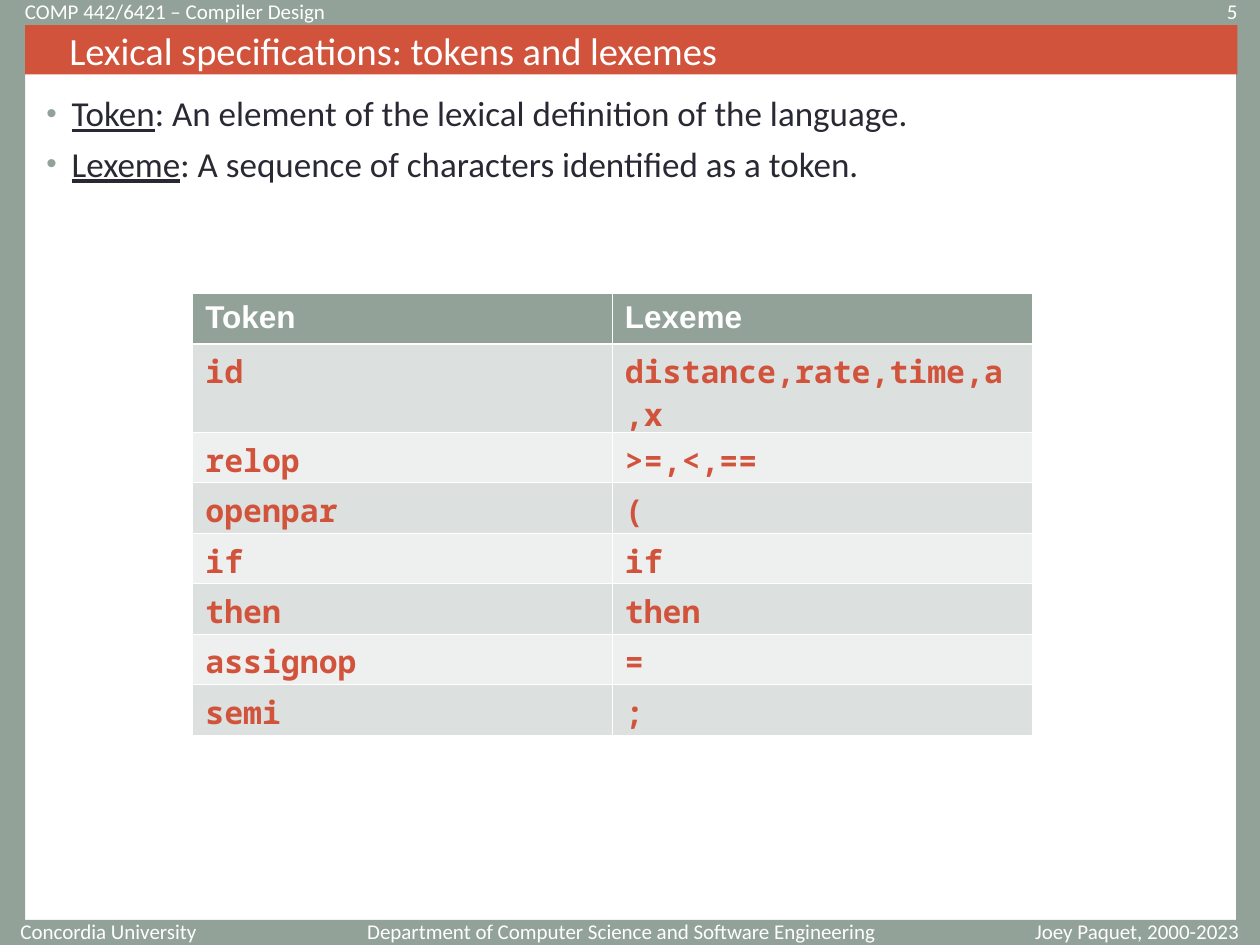
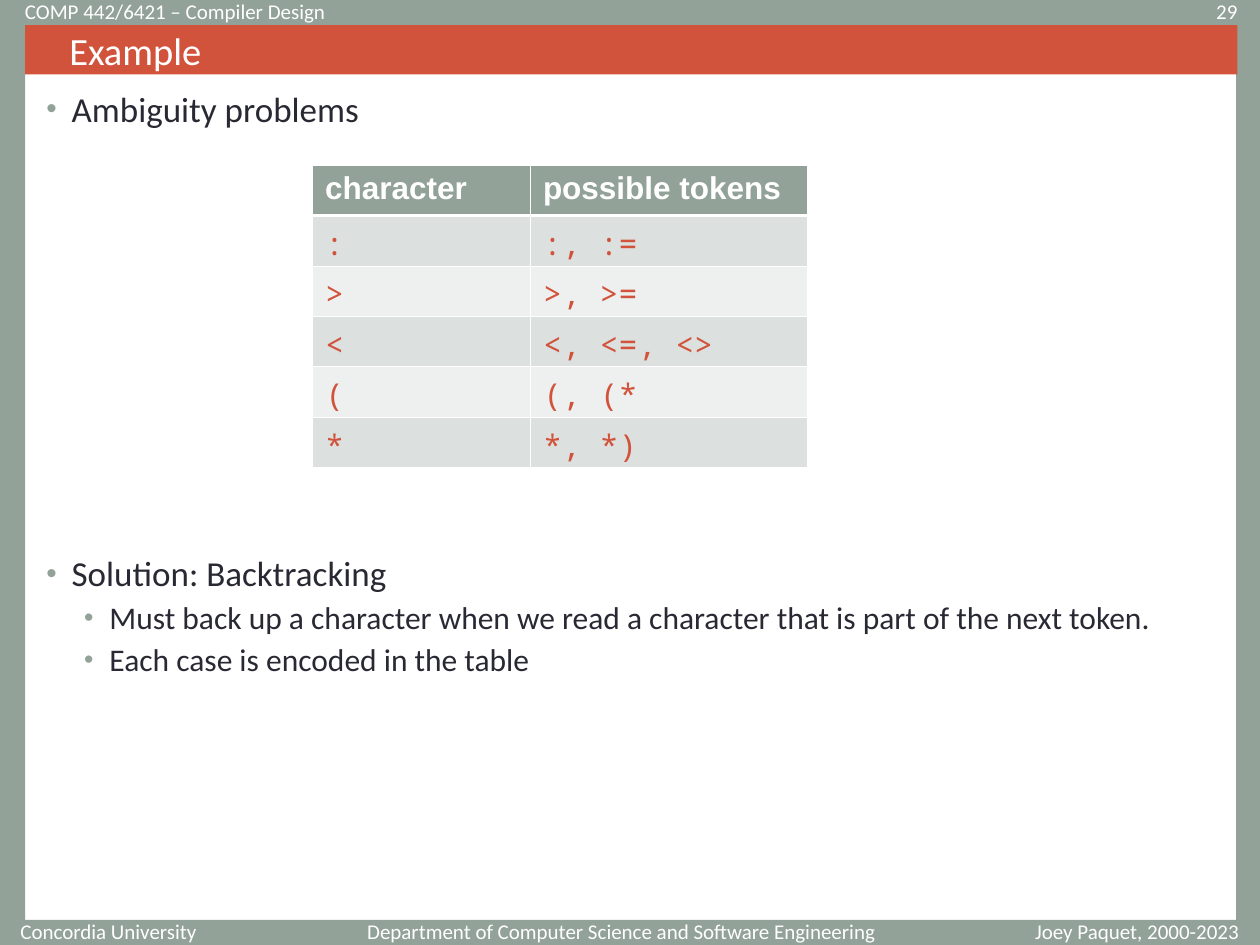
from collections import namedtuple

from lxml.etree import SubElement
from pptx import Presentation
from pptx.dml.color import RGBColor
from pptx.enum.shapes import MSO_SHAPE
from pptx.enum.text import MSO_ANCHOR, PP_ALIGN
from pptx.oxml.ns import qn
from pptx.util import Inches, Pt

# Grid: 100 columns by 75 rows on a 10 x 7.5 inch slide
COLS, ROWS = 100, 75
UNIT = Inches(10) / COLS

SAGE, RUST, INK, WHITE = "93A299", "D2533C", "292934", "FFFFFF"
BANDS = "DCE0DE", "EEF0EF"
SANS, HEAD, MONO = "Calibri", "Arial", "Noto Sans Mono"
LEFT, MID, RIGHT = PP_ALIGN.LEFT, PP_ALIGN.CENTER, PP_ALIGN.RIGHT

Box = namedtuple("Box", "x y w h")
PAGE = Box(0, 0, COLS, ROWS)
TITLE = Box(2, 2, 96.2, 3.9)
BODY = Box(2.7, 6.8, 94.5, 65.4)


def color(code):
    return RGBColor.from_string(code)


def units(*sizes):
    return [round(size * UNIT) for size in sizes]


def inside(box, x, y, w, h):
    return Box(box.x + x, box.y + y, w, h)


def add_run(para, text, size, code, face=SANS, bold=False, line=False):
    run = para.add_run()
    run.text = text
    font = run.font
    font.size, font.name = Pt(size), face
    font.bold, font.underline = bold, line
    font.color.rgb = color(code)


def add_bar(slide, box, code):
    bar = slide.shapes.add_shape(MSO_SHAPE.RECTANGLE, *units(*box))
    bar.shadow.inherit = False
    bar.fill.solid()
    bar.fill.fore_color.rgb = color(code)
    bar.line.fill.background()
    return bar


def add_text(slide, box, anchor=MSO_ANCHOR.MIDDLE):
    frame = slide.shapes.add_textbox(*units(*box)).text_frame
    frame.word_wrap = True
    frame.vertical_anchor = anchor
    return frame


def add_frame(slide, box, number):
    """Border bands with the header and footer labels."""
    side, foot = 1.9, box.h - 2
    for part in ((0, 0, box.w, 2), (0, foot, box.w, 2),
                 (0, 0, 2, box.h), (box.w - side, 0, side, box.h)):
        add_bar(slide, inside(box, *part), SAGE)

    top, low = 0.3, foot + 0.3
    labels = (
        (1, top, 56, LEFT, "COMP 442/6421 – Compiler Design"),
        (87.5, top, 11.7, RIGHT, number),
        (0.3, low, 16.3, RIGHT, "Concordia University"),
        (28, low, 42.5, RIGHT,
         "Department of Computer Science and Software Engineering"),
        (80.6, low, 19.3, MID, "Joey Paquet, 2000-2023"),
    )
    for x, y, w, align, text in labels:
        para = add_text(slide, inside(box, x, y, w, 1.2)).paragraphs[0]
        para.alignment = align
        add_run(para, text, 12, WHITE)


def add_title(slide, box, text):
    bar = add_bar(slide, box, RUST)
    frame = bar.text_frame
    frame.margin_left = Inches(0.35)
    frame.vertical_anchor = MSO_ANCHOR.MIDDLE
    para = frame.paragraphs[0]
    para.alignment = LEFT
    add_run(para, text, 22, WHITE)


def add_bullet(para, level):
    props = para._p.get_or_add_pPr()
    props.set("marL", str(Inches((0.2, 0.5)[level])))
    props.set("indent", str(-Inches(0.2)))
    tint = SubElement(props, qn("a:buClr"))
    SubElement(tint, qn("a:srgbClr"), val=SAGE)
    SubElement(props, qn("a:buSzPct"), val="85000")
    SubElement(props, qn("a:buFont"), typeface=HEAD)
    SubElement(props, qn("a:buChar"), char="•")


def add_list(slide, box, items, pitch=1.0):
    """Items are (level, space before, term to underline, text)."""
    frame = add_text(slide, box, MSO_ANCHOR.TOP)
    for i, (level, gap, term, text) in enumerate(items):
        para = frame.add_paragraph() if i else frame.paragraphs[0]
        para.level = level
        add_bullet(para, level)
        para.line_spacing = pitch
        para.space_before = Pt(gap)
        size = (20, 18)[level]
        if term:
            add_run(para, term, size, INK, line=True)
        add_run(para, text, size, INK)


def add_edges(cell, top, low):
    props = cell._tc.get_or_add_tcPr()
    for side, width in (("L", 0.45), ("R", 0.45), ("T", top), ("B", low)):
        edge = SubElement(props, qn("a:ln" + side), w=str(Pt(width)))
        fill = SubElement(edge, qn("a:solidFill"))
        SubElement(fill, qn("a:srgbClr"), val=WHITE)


def add_grid(slide, box, widths, heights, data, bold):
    """Banded table with a sage header row and code in the cells."""
    table = slide.shapes.add_table(
        len(data), len(widths), *units(*box)).table
    table.horz_banding = False
    for col, width in zip(table.columns, units(*widths)):
        col.width = width
    for row, height in zip(table.rows, units(*heights)):
        row.height = height

    for r, texts in enumerate(data):
        for c, text in enumerate(texts):
            cell = table.cell(r, c)
            add_edges(cell, 1.47 if r == 1 else 0.45, 0.45 if r else 1.47)
            cell.fill.solid()
            cell.fill.fore_color.rgb = color(BANDS[(r - 1) % 2] if r else SAGE)
            para = cell.text_frame.paragraphs[0]
            if r:
                add_run(para, text, 18, RUST, MONO, bold)
            else:
                add_run(para, text, 18, WHITE, HEAD, True)


def add_page(deck, number, title):
    slide = deck.slides.add_slide(deck.slide_layouts[6])
    add_frame(slide, PAGE, number)
    add_title(slide, TITLE, title)
    return slide


def token_page(deck, box):
    slide = add_page(deck, "5", "Lexical specifications: tokens and lexemes")
    add_list(slide, box, (
        (0, 0, "Token",
         ": An element of the lexical definition of the language."),
        (0, 5, "Lexeme", ": A sequence of characters identified as a token."),
    ))
    data = (
        ("Token", "Lexeme"),
        ("id", "distance,rate,time,a,x"),
        ("relop", ">=,<,=="),
        ("openpar", "("),
        ("if", "if"),
        ("then", "then"),
        ("assignop", "="),
        ("semi", ";"),
    )
    add_grid(slide, inside(box, 12.6, 16.5, 66.6, 34), (33.3, 33.3),
             (3.8, 6.8, *[3.9] * 6), data, True)


def clash_page(deck, box):
    slide = add_page(deck, "29", "Example")
    add_list(slide, box, (
        (0, 0, "", "Ambiguity problems"),
        (0, 244, "", "Solution: Backtracking"),
        (1, 4.5, "", "Must back up a character when we read a character "
                     "that is part of the next token."),
        (1, 4.5, "", "Each case is encoded in the table"),
    ), 0.9)
    data = (
        ("character", "possible tokens"),
        (":", ":, :="),
        (">", ">, >="),
        ("<", "<, <=, <>"),
        ("(", "(, (*"),
        ("*", "*, *)"),
    )
    add_grid(slide, inside(box, 22.1, 6.3, 39.3, 24), (17.3, 22),
             [4] * len(data), data, False)


def main():
    deck = Presentation()
    deck.slide_width, deck.slide_height = units(COLS, ROWS)
    token_page(deck, BODY)
    clash_page(deck, BODY)
    deck.save("out.pptx")


if __name__ == "__main__":
    main()
